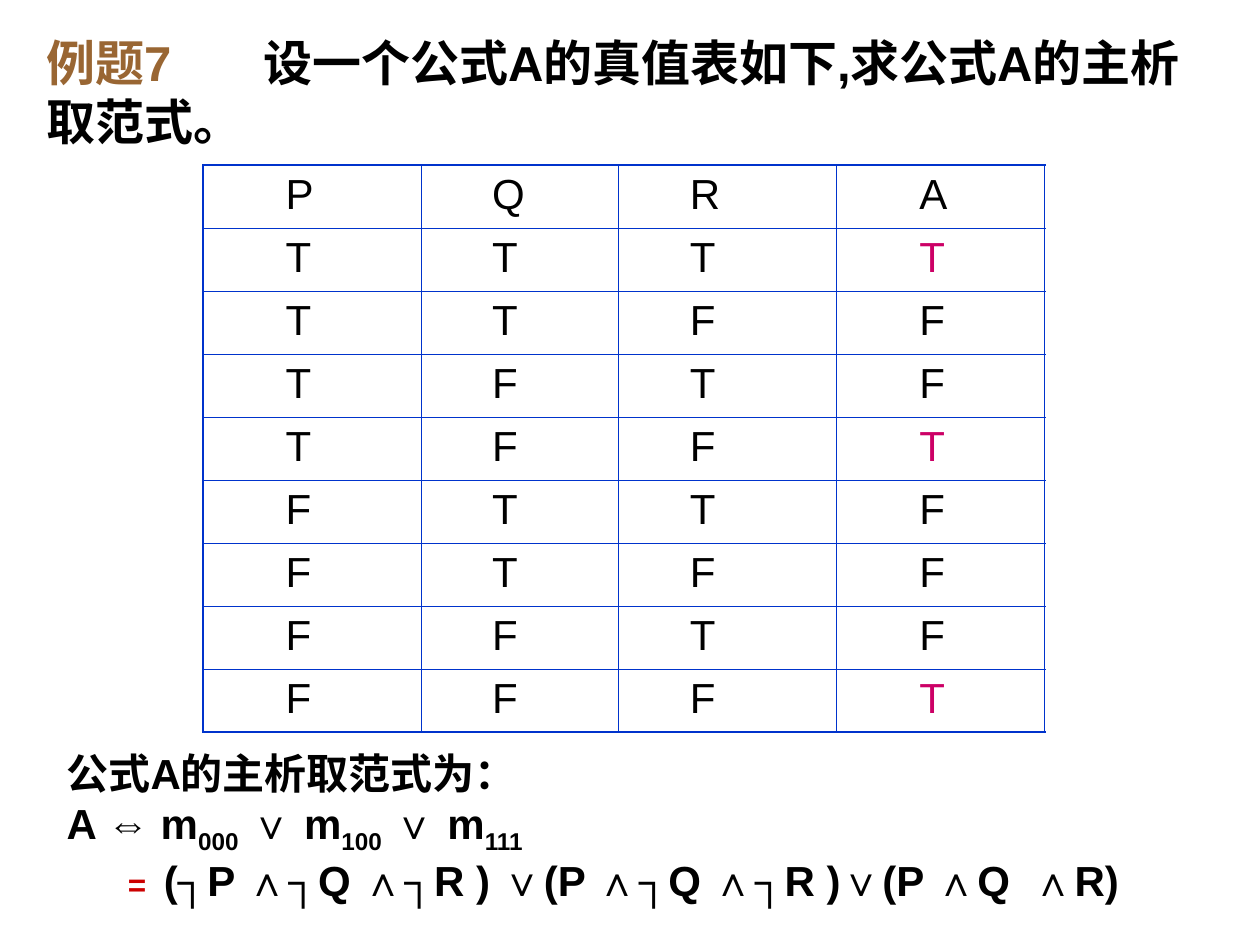
from pptx import Presentation
from pptx.dml.color import RGBColor
from pptx.enum.text import MSO_ANCHOR, MSO_AUTO_SIZE, PP_ALIGN
from pptx.oxml.ns import qn
from pptx.util import Pt
from lxml.etree import SubElement

BLACK = RGBColor(0x00, 0x00, 0x00)
BROWN = RGBColor(0x99, 0x66, 0x33)
PINK = RGBColor(0xCC, 0x00, 0x66)
RED = RGBColor(0xCC, 0x00, 0x00)
BLUE = RGBColor(0x00, 0x33, 0xCC)

OUTER_WIDTH, INNER_WIDTH = 1.08, 0.45
COLUMN_WIDTHS = (124.6, 113, 124.6, 118.8)
COLUMN_INDENTS = (47.2, 40.6, 40.6, 47.2)
ROW_HEIGHT = 36
TRUTH_ROWS = ("PQRA", "TTTT", "TTFF", "TFTF", "TFFT", "FTTF", "FTFF", "FFTF", "FFFT")


def add_run(paragraph, text, **formats):
    run = paragraph.add_run()
    run.text = text
    values = {"name": "Arial", "size": Pt(24), "bold": True} | formats
    color = values.pop("color", BLACK)
    for attribute, value in values.items():
        setattr(run.font, attribute, value)
    run.font.color.rgb = color
    return run


def add_subscript(paragraph, text):
    add_run(paragraph, text).font._element.set("baseline", "-25000")


def add_tab_stops(paragraph, *positions):
    tab_list = SubElement(paragraph._p.get_or_add_pPr(), qn("a:tabLst"))
    for position in positions:
        SubElement(tab_list, qn("a:tab"), pos=str(Pt(position)), algn="l")


def format_frame(text_frame):
    formats = {
        "word_wrap": True,
        "auto_size": MSO_AUTO_SIZE.NONE,
        "vertical_anchor": MSO_ANCHOR.TOP,
        "margin_left": Pt(7.2),
        "margin_right": Pt(7.2),
        "margin_top": Pt(3.6),
        "margin_bottom": Pt(3.6),
    }
    for attribute, value in formats.items():
        setattr(text_frame, attribute, value)


def place_title(slide):
    title = slide.shapes.title
    bounds = {"left": 19.4, "top": 15.1, "width": 663, "height": 75}
    for attribute, value in bounds.items():
        setattr(title, attribute, Pt(value))
    format_frame(title.text_frame)
    paragraph = title.text_frame.paragraphs[0]
    paragraph.alignment = PP_ALIGN.LEFT
    add_tab_stops(paragraph, 124)
    add_run(paragraph, "例题7\t", size=Pt(28), color=BROWN)
    add_run(paragraph, "设一个公式A的真值表如下,求公式A的主析取范式。", size=Pt(28))


def set_borders(cell, widths):
    """Draw the left, right, top and bottom borders, in that order, before the fill."""
    properties = cell._tc.get_or_add_tcPr()
    for side, width in zip(("lnL", "lnR", "lnT", "lnB"), widths):
        line = SubElement(properties, qn(f"a:{side}"), w=str(Pt(width)))
        fill = SubElement(line, qn("a:solidFill"))
        SubElement(fill, qn("a:srgbClr"), val=str(BLUE))


def add_truth_table(slide):
    last_row, last_column = len(TRUTH_ROWS) - 1, len(COLUMN_WIDTHS) - 1
    frame = slide.shapes.add_table(
        last_row + 1, last_column + 1, Pt(116), Pt(94.4),
        Pt(sum(COLUMN_WIDTHS)), Pt(ROW_HEIGHT * len(TRUTH_ROWS)))
    table = frame.table
    table.first_row = table.horz_banding = False
    for column, width in zip(table.columns, COLUMN_WIDTHS):
        column.width = Pt(width)
    for row_index, values in enumerate(TRUTH_ROWS):
        table.rows[row_index].height = Pt(ROW_HEIGHT)
        for column_index, value in enumerate(values):
            cell = table.cell(row_index, column_index)
            cell.margin_left = Pt(COLUMN_INDENTS[column_index])
            edges = (column_index == 0, column_index == last_column,
                     row_index == 0, row_index == last_row)
            set_borders(cell, [OUTER_WIDTH if edge else INNER_WIDTH for edge in edges])
            cell.fill.background()
            is_minterm = column_index == last_column and value == "T"
            add_run(cell.text_frame.paragraphs[0], value, bold=False,
                    color=PINK if is_minterm else BLACK)


def add_normal_form(slide):
    box = slide.shapes.add_textbox(Pt(31), Pt(423.4), Pt(669), Pt(98))
    text_frame = box.text_frame
    format_frame(text_frame)
    add_run(text_frame.paragraphs[0], "公式A的主析取范式为：")

    minterms = text_frame.add_paragraph()
    for lead, index in (("A ⇔ m", "000"), (" ∨ m", "100"), (" ∨ m", "111")):
        add_run(minterms, lead)
        add_subscript(minterms, index)

    expansion = text_frame.add_paragraph()
    add_tab_stops(expansion, 35, 55.5, 552)
    add_run(expansion, "\t=\t", size=Pt(18), color=RED)
    add_run(expansion, "(┐P ∧┐Q ∧┐R ) ∨(P ∧┐Q ∧┐R )∨(P ∧Q\t∧R)")


def main():
    presentation = Presentation()
    presentation.slide_width, presentation.slide_height = Pt(720), Pt(540)
    slide = presentation.slides.add_slide(presentation.slide_layouts[5])
    place_title(slide)
    add_truth_table(slide)
    add_normal_form(slide)
    presentation.save("out.pptx")


if __name__ == "__main__":
    main()
